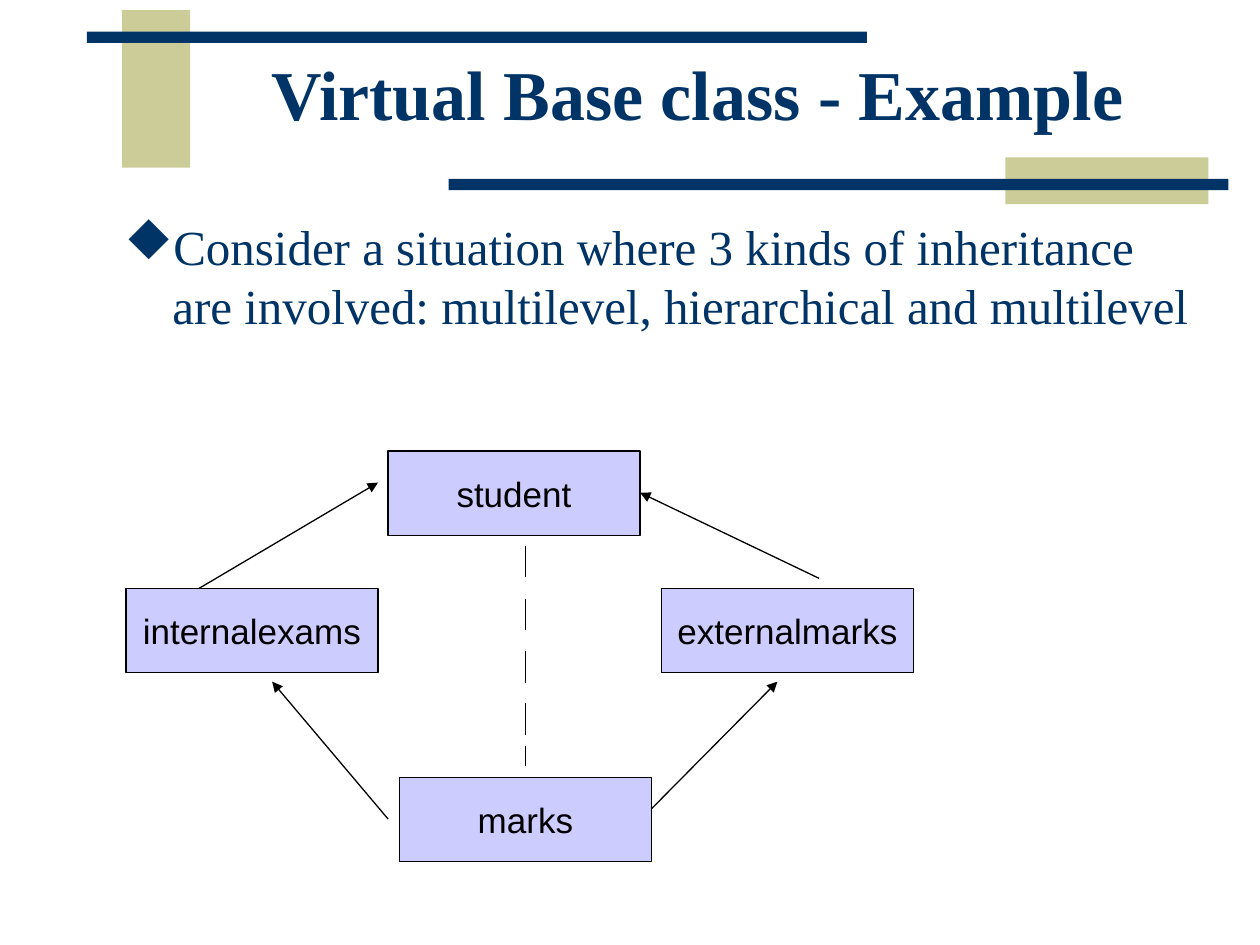
from pptx import Presentation, util as u
from pptx.dml.color import RGBColor
from pptx.enum import shapes, text
from pptx.oxml.ns import qn
from lxml import etree

NAVY, KHAKI, LILAC, BLACK = "003366", "CCCC99", "CCCCFF", "000000"


def rgb(value):
    return RGBColor.from_string(value)


def write(sp, content, color, frame, font):
    """Put one formatted paragraph in a shape and return it."""
    tf = sp.text_frame
    for name, value in frame.items():
        setattr(tf, name, value)
    p = tf.paragraphs[0]
    r = p.add_run()
    r.text = content
    for name, value in font.items():
        setattr(r.font, name, value)
    r.font.color.rgb = rgb(color)
    return p


prs = Presentation()
prs.slide_width, prs.slide_height = u.Inches(10), u.Inches(7.5)
s = prs.slides.add_slide(prs.slide_layouts[6])

# Decorative bars
for x, y, w, h, color in [
    (0.97, 0.08, 0.54, 1.25, KHAKI),
    (0.69, 0.25, 6.19, 0.09, NAVY),
    (7.98, 1.25, 1.61, 0.37, KHAKI),
    (3.56, 1.42, 6.19, 0.09, NAVY),
]:
    sp = s.shapes.add_shape(shapes.MSO_SHAPE.RECTANGLE, *map(u.Inches, (x, y, w, h)))
    sp.shadow.inherit = False
    sp.fill.solid()
    sp.fill.fore_color.rgb = rgb(color)
    sp.line.fill.background()

# Title
sp = s.shapes.add_textbox(*map(u.Inches, (1.5, 0.33, 8.07, 0.92)))
p = write(sp, "Virtual Base class - Example", NAVY,
          {"word_wrap": True, "vertical_anchor": text.MSO_ANCHOR.MIDDLE},
          {"name": "Times New Roman", "size": u.Pt(40), "bold": True})
p.alignment = text.PP_ALIGN.CENTER
p.line_spacing = 0.85

# Bulleted statement; "u" is the diamond in Wingdings
sp = s.shapes.add_textbox(*map(u.Inches, (0.89, 1.67, 8.7, 5)))
p = write(sp, "Consider a situation where 3 kinds of inheritance are involved: "
          "multilevel, hierarchical and multilevel", NAVY,
          {"word_wrap": True},
          {"name": "Times New Roman", "size": u.Pt(28)})
p.space_before = u.Pt(7)
pPr = p._p.get_or_add_pPr()
pPr.set("marL", str(u.Inches(0.38)))
pPr.set("indent", str(u.Inches(-0.38)))
bullet_color = etree.SubElement(pPr, qn("a:buClr"))
etree.SubElement(bullet_color, qn("a:srgbClr"), val=NAVY)
etree.SubElement(pPr, qn("a:buFont"), typeface="Wingdings", charset="2")
etree.SubElement(pPr, qn("a:buChar"), char="u")

# Class boxes
for name, x, y in [
    ("student", 3.08, 3.58),
    ("internalexams", 1, 4.67),
    ("externalmarks", 5.25, 4.67),
    ("marks", 3.17, 6.17),
]:
    sp = s.shapes.add_shape(shapes.MSO_SHAPE.RECTANGLE, *map(u.Inches, (x, y, 2, 0.67)))
    sp.shadow.inherit = False
    sp.fill.solid()
    sp.fill.fore_color.rgb = rgb(LILAC)
    sp.line.color.rgb = rgb(BLACK)
    sp.line.width = u.Pt(0.75)
    p = write(sp, name, BLACK,
              {"word_wrap": False, "vertical_anchor": text.MSO_ANCHOR.MIDDLE},
              {"name": "Arial", "size": u.Pt(20)})
    p.alignment = text.PP_ALIGN.CENTER

# Inheritance arrows, then the dashes from student down to marks
arrows = [
    (3.08, 6.5, 2.16, 5.41),
    (5.17, 6.42, 6.17, 5.41),
    (6.5, 4.59, 5.08, 3.91),
    (1.58, 4.67, 3, 3.83),
]
dashes = [(4.17, y, 4.17, y + 0.25) for y in (4.33, 4.75, 5.17, 5.58)]
dashes.append((4.17, 5.92, 4.17, 6.08))
for ends in arrows + dashes:
    ln = s.shapes.add_connector(shapes.MSO_CONNECTOR.STRAIGHT, *map(u.Inches, ends))
    ln.line.color.rgb = rgb(BLACK)
    ln.line.width = u.Pt(0.75)
    spPr = ln._element.spPr
    if ends in arrows:
        etree.SubElement(spPr.find(qn("a:ln")), qn("a:tailEnd"), type="triangle")
    etree.SubElement(spPr, qn("a:effectLst"))

prs.save("out.pptx")
